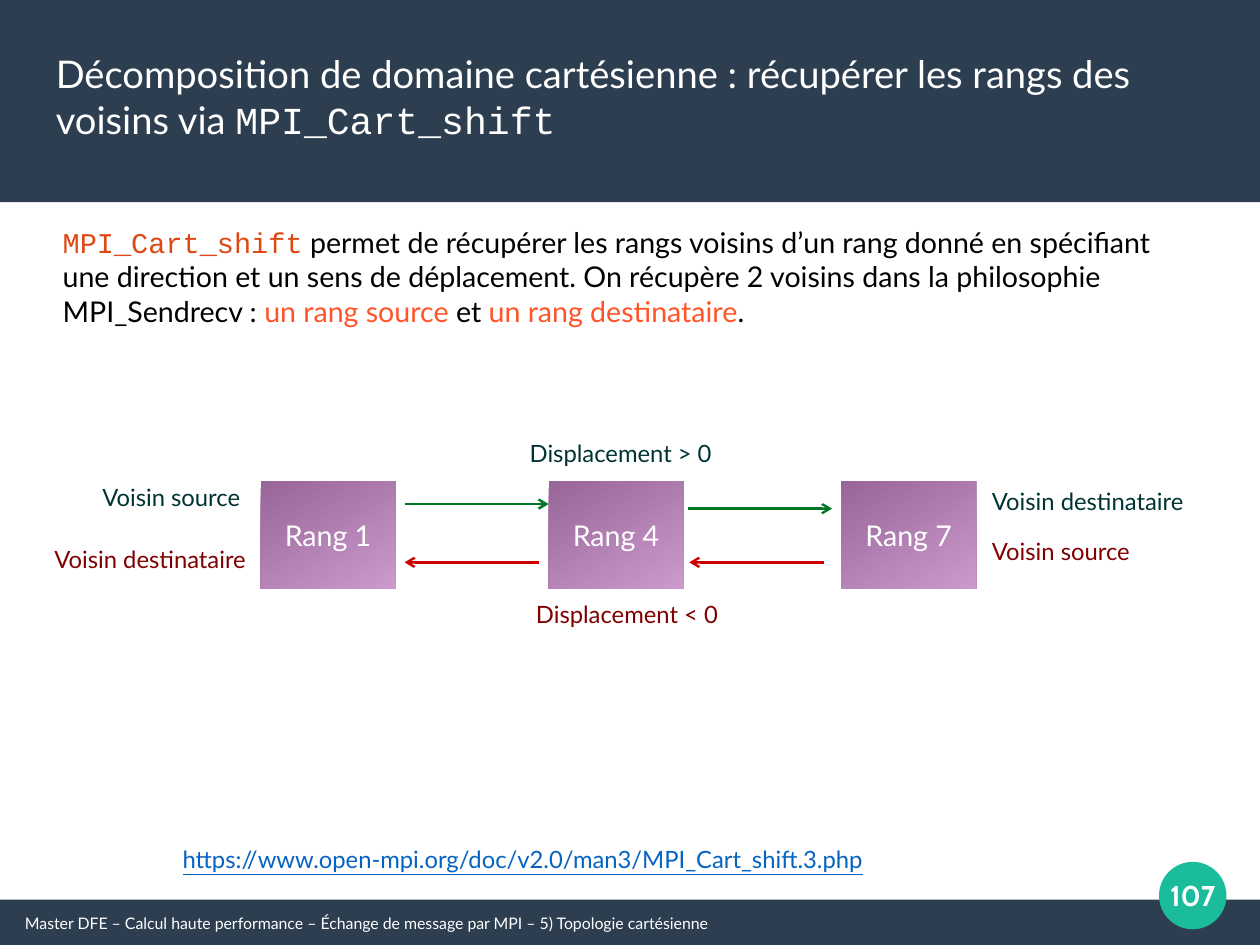
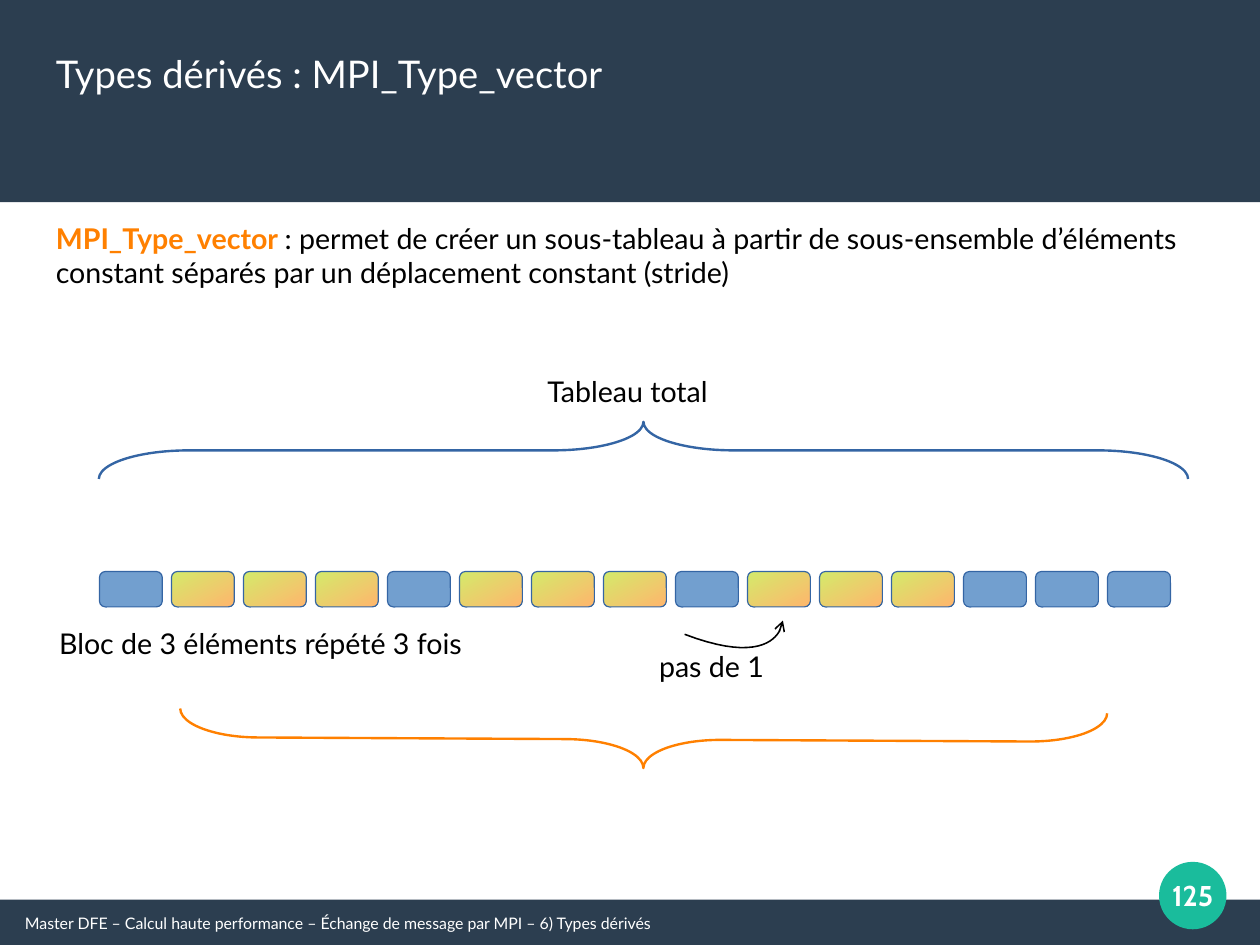
"""Build two slides on MPI Cartesian shifts and derived vector types."""
from lxml.etree import SubElement
from pptx import Presentation
from pptx.dml.color import RGBColor
from pptx.enum.shapes import MSO_CONNECTOR, MSO_SHAPE
from pptx.enum.text import MSO_ANCHOR, PP_ALIGN
from pptx.oxml.ns import qn
from pptx.util import Inches, Pt

CM_PER_INCH = 2.54
WIDTH, HEIGHT = 28 / CM_PER_INCH, 21 / CM_PER_INCH
FOOTER_TOP = 7.87
NAVY, TEAL, WHITE, BLACK = "2C3E50", "1ABC9C", "FFFFFF", "000000"
FORWARD_TEXT, BACKWARD_TEXT = "003333", "800000"
FORWARD_ARROW, BACKWARD_ARROW = "007826", "CC0000"
BLUE, ORANGE, LINK = "3465A4", "FF8000", "0563C1"
RANK_GRADIENT = ("996699", "CC99CC")
BLOCK_GRADIENT = ("D4EA6B", "FFB66C")
FONT, CODE_FONT, NUMBER_FONT = "Lato", "Courier New", "Cabin"
LEFT, CENTER, RIGHT = PP_ALIGN.LEFT, PP_ALIGN.CENTER, PP_ALIGN.RIGHT


def rgb(value):
    """Turn a hex string into a colour."""
    return RGBColor.from_string(value)


def format_run(run, size, color, font=FONT, bold=False, underline=False):
    """Set the font of one run."""
    run.font.size = Pt(size)
    run.font.name = font
    run.font.color.rgb = rgb(color)
    run.font.bold = bold
    run.font.underline = underline


def add_text(slide, box, pieces, size, color=BLACK, align=LEFT):
    """Add a text box; pieces is a string or (text, run style) pairs."""
    shape = slide.shapes.add_textbox(*map(Inches, box))
    shape.text_frame.word_wrap = True
    paragraph = shape.text_frame.paragraphs[0]
    paragraph.alignment = align
    if isinstance(pieces, str):
        pieces = [(pieces, {})]
    for text, style in pieces:
        run = paragraph.add_run()
        run.text = text
        format_run(run, size, **{"color": color, **style})


def add_shape(slide, kind, box, fill=None, line=None, line_width=0):
    """Add a preset shape with a plain, gradient or empty fill."""
    shape = slide.shapes.add_shape(kind, *map(Inches, box))
    shape.shadow.inherit = False
    if fill is None:
        shape.fill.background()
    elif isinstance(fill, str):
        shape.fill.solid()
        shape.fill.fore_color.rgb = rgb(fill)
    else:
        shape.fill.gradient()
        shape.fill.gradient_angle = 300
        for stop, color in zip(shape.fill.gradient_stops, fill):
            stop.color.rgb = rgb(color)
    if line:
        shape.line.color.rgb = rgb(line)
        shape.line.width = Pt(line_width)
    else:
        shape.line.fill.background()
    return shape


def set_label(shape, text, font=FONT, bold=False):
    """Centre a white label in a shape."""
    frame = shape.text_frame
    frame.text = text
    frame.word_wrap = False
    frame.vertical_anchor = MSO_ANCHOR.MIDDLE
    frame.paragraphs[0].alignment = CENTER
    format_run(frame.paragraphs[0].runs[0], 18, WHITE, font, bold)


def add_arrowhead(shape):
    """Put an open arrowhead at the end of a line."""
    SubElement(shape.element.spPr.find(qn("a:ln")), qn("a:tailEnd"), type="arrow")


def add_arrow(slide, start, end, y, color):
    """Draw a horizontal arrow."""
    points = map(Inches, (start, y, end, y))
    arrow = slide.shapes.add_connector(MSO_CONNECTOR.STRAIGHT, *points)
    arrow.line.color.rgb = rgb(color)
    arrow.line.width = Pt(1.5)
    add_arrowhead(arrow)
    SubElement(arrow.element.spPr, qn("a:effectLst"))


def add_curved_arrow(slide, start, control, end, steps=24):
    """Draw a black arrow along a curve that bends at one control point."""
    points = []
    for step in range(steps + 1):
        t = step / steps
        weights = (1 - t) ** 3, 3 * t * (1 - t) ** 2, 3 * t**2 * (1 - t) + t**3
        points.append([Inches(sum(w * c for w, c in zip(weights, axis)))
                       for axis in zip(start, control, end)])
    builder = slide.shapes.build_freeform(*points[0])
    builder.add_line_segments(points[1:], close=False)
    arrow = builder.convert_to_shape()
    arrow.fill.background()
    arrow.line.color.rgb = rgb(BLACK)
    arrow.line.width = Pt(1)
    arrow.shadow.inherit = False
    add_arrowhead(arrow)


def add_brace(slide, center, length, rotation, color, curve):
    """Draw a horizontal brace around a centre point."""
    depth = 0.5
    x, y = center
    box = (x - depth / 2, y - length / 2, depth, length)
    brace = add_shape(slide, MSO_SHAPE.RIGHT_BRACE, box, line=color, line_width=1.5)
    brace.adjustments[0] = curve
    brace.rotation = rotation


def add_base_slide(presentation, title, chapter, number):
    """Add a slide with the bands, title, footer and page number."""
    slide = presentation.slides.add_slide(presentation.slide_layouts[6])
    footer_band = (0, FOOTER_TOP, WIDTH, HEIGHT - FOOTER_TOP)
    for band in (footer_band, (0, 0, WIDTH, 1.77)):
        add_shape(slide, MSO_SHAPE.RECTANGLE, band, NAVY)
    badge = add_shape(slide, MSO_SHAPE.OVAL, (10.14, 7.54, 0.59, 0.59), TEAL)
    set_label(badge, number, NUMBER_FONT, True)
    footer = "Master DFE – Calcul haute performance – Échange de message par MPI – "
    add_text(slide, (0.12, 7.94, 9.45, 0.29), footer + chapter, 10, WHITE)
    add_text(slide, (0.39, 0.39, 10.13, 1.01), title, 24, WHITE)
    return slide


def build_shift_slide(presentation):
    """Show the source and destination neighbours of a rank."""
    title = [("Décomposition de domaine cartésienne : récupérer les rangs des voisins via ", {}),
             ("MPI_Cart_shift", {"font": CODE_FONT})]
    slide = add_base_slide(presentation, title, "5) Topologie cartésienne", "107")
    accent = {"color": "FF5429"}
    add_text(slide, (0.45, 1.92, 10.07, 1.33), [
        ("MPI_Cart_shift", {"font": CODE_FONT, "color": "DD4814"}),
        (" permet de récupérer les rangs voisins d’un rang donné en spécifiant une direction "
         "et un sens de déplacement. On récupère 2 voisins dans la philosophie "
         "MPI_Sendrecv : ", {}),
        ("un rang source", accent), (" et ", {}),
        ("un rang destinataire", accent), (".", {}),
    ], 18)
    for rank, x in ((1, 2.28), (4, 4.8), (7, 7.36)):
        box = add_shape(slide, MSO_SHAPE.RECTANGLE, (x, 4.21, 1.18, 0.94), RANK_GRADIENT)
        set_label(box, f"Rang {rank}")
    for start, end, y, color in (
        (3.54, 4.8, 4.41, FORWARD_ARROW),
        (6.02, 7.28, 4.45, FORWARD_ARROW),
        (4.72, 3.54, 4.92, BACKWARD_ARROW),
        (7.21, 6.03, 4.92, BACKWARD_ARROW),
    ):
        add_arrow(slide, start, end, y, color)
    for text, x, y, width, color, align in (
        ("Voisin source", 0.39, 4.17, 1.81, FORWARD_TEXT, RIGHT),
        ("Voisin destinataire", 0.2, 4.72, 2.05, BACKWARD_TEXT, RIGHT),
        ("Voisin destinataire", 8.58, 4.21, 2.3, FORWARD_TEXT, LEFT),
        ("Voisin source", 8.58, 4.65, 2.3, BACKWARD_TEXT, LEFT),
        ("Displacement > 0", 4.29, 3.79, 2.28, FORWARD_TEXT, CENTER),
        ("Displacement < 0", 4.33, 5.2, 2.05, BACKWARD_TEXT, RIGHT),
    ):
        add_text(slide, (x, y, width, 0.44), text, 15, color, align)
    url = "https://www.open-mpi.org/doc/v2.0/man3/MPI_Cart_shift.3.php"
    add_text(slide, (1.5, 7.34, 8.43, 0.46), [(url, {"underline": True})], 15, LINK)


def build_vector_slide(presentation):
    """Show blocks of three elements picked with a constant stride."""
    title = "Types dérivés : MPI_Type_vector"
    slide = add_base_slide(presentation, title, "6) Types dérivés", "125")
    add_text(slide, (0.39, 1.88, 10.18, 1.31), [
        ("MPI_Type_vector ", {"color": ORANGE, "bold": True}),
        (": permet de créer un sous-tableau à partir de sous-ensemble d’éléments "
         "constant séparés par un déplacement constant (stride)", {}),
    ], 18)
    block, stride, repeats, total = 3, 4, 3, 15
    for index in range(total):
        in_block = index < stride * repeats and 0 < index % stride <= block
        add_shape(slide, MSO_SHAPE.ROUNDED_RECTANGLE, (0.87 + 0.63 * index, 5, 0.55, 0.31),
                  BLOCK_GRADIENT if in_block else "729FCF", BLUE)
    add_brace(slide, (5.63, 3.94), 9.53, 270, BLUE, 1.58)
    add_brace(slide, (5.63, 6.47), 8.11, 90.3, ORANGE, 1.36)
    add_text(slide, (4.69, 3.22, 2.12, 0.58), "Tableau total", 18)
    add_text(slide, (0.28, 5.43, 4, 0.5), "Bloc de 3 éléments répété 3 fois", 18, align=CENTER)
    add_text(slide, (4.65, 5.63, 3.15, 0.54), "pas de 1", 18, align=CENTER)
    add_curved_arrow(slide, (5.99, 5.55), (6.83, 5.87), (6.85, 5.43))


def main():
    """Build and save the presentation."""
    presentation = Presentation()
    presentation.slide_width = Inches(WIDTH)
    presentation.slide_height = Inches(HEIGHT)
    build_shift_slide(presentation)
    build_vector_slide(presentation)
    presentation.save("out.pptx")


if __name__ == "__main__":
    main()
